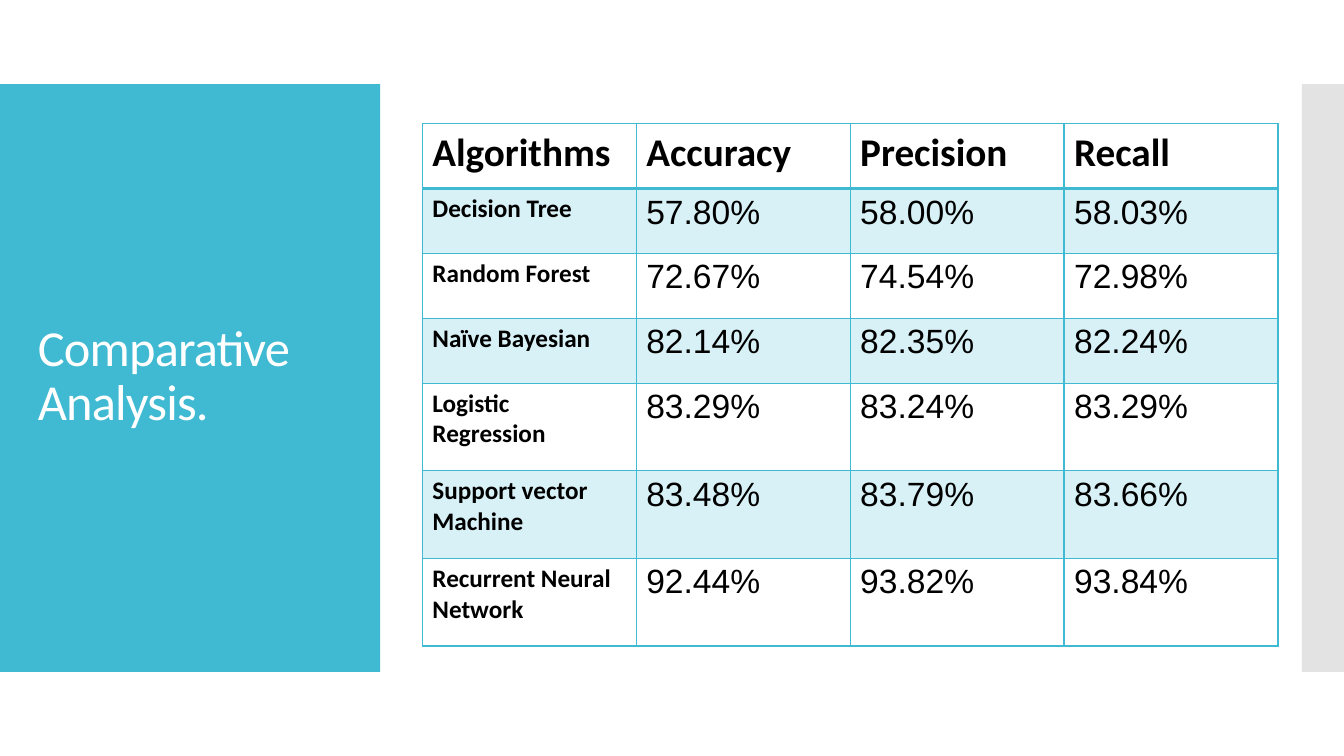
from lxml.etree import SubElement
from pptx import Presentation
from pptx.dml.color import RGBColor
from pptx.enum.shapes import MSO_SHAPE as Shape
from pptx.enum.text import MSO_ANCHOR as Anchor
from pptx.oxml import parse_xml
from pptx.oxml.ns import nsdecls, qn
from pptx.util import Pt

TITLE = "Comparative Analysis."
HEADINGS = ["Algorithms", "Accuracy", "Precision", "Recall"]
SCORES = [
    ("Decision Tree", "57.80%", "58.00%", "58.03%"),
    ("Random Forest", "72.67%", "74.54%", "72.98%"),
    ("Naïve Bayesian", "82.14%", "82.35%", "82.24%"),
    ("Logistic Regression", "83.29%", "83.24%", "83.29%"),
    ("Support vector Machine", "83.48%", "83.79%", "83.66%"),
    ("Recurrent Neural Network", "92.44%", "93.82%", "93.84%"),
]
COLORS = {"teal": "40BAD2", "gray": "C8C8C8", "white": "FFFFFF", "black": "000000"}
SLIDE_W, SLIDE_H = 960, 540
BAND_TOP, BAND_H = 60, 420
TITLE_PANEL_W, EDGE_W = 271.5, 30
TABLE_LEFT, TABLE_TOP, COLUMN_W = 301.7, 88.5, 152.8
ROW_HEIGHTS = [46.3] * 4 + [62.6] * 3


def paint(fill, color, opacity=100):
    """Fill solidly, with opacity in percent."""
    fill.solid()
    fill.fore_color.rgb = RGBColor.from_string(COLORS[color])
    if opacity < 100:
        solid = fill._xPr.find(qn("a:solidFill"))
        SubElement(solid[0], qn("a:alpha"), val=str(opacity * 1000))


def add_panel(slide, left, width, color, opacity=100):
    """Add a borderless panel as tall as the band."""
    panel = slide.shapes.add_shape(
        Shape.RECTANGLE, Pt(left), Pt(BAND_TOP), Pt(width), Pt(BAND_H))
    panel.shadow.inherit = False
    panel.line.fill.background()
    paint(panel.fill, color, opacity)


def add_run(paragraph, text, size, font, color, bold=False):
    """Add one styled run."""
    run = paragraph.add_run()
    run.text = text
    run.font.size, run.font.name, run.font.bold = Pt(size), font, bold
    run.font.color.rgb = RGBColor.from_string(COLORS[color])
    return run


def add_borders(cell, bottom):
    """Draw the four borders, with the bottom width in points."""
    widths = {"lnL": 1, "lnR": 1, "lnT": 1, "lnB": bottom}
    properties = cell._tc.get_or_add_tcPr()
    for place, (side, width) in enumerate(widths.items()):
        properties.insert(place, parse_xml(
            f'<a:{side} {nsdecls("a")} w="{Pt(width)}"><a:solidFill>'
            f'<a:srgbClr val="{COLORS["teal"]}"/></a:solidFill></a:{side}>'))


def add_title(slide):
    """Add the title over the left panel."""
    title = slide.shapes.add_textbox(Pt(20), Pt(88.5), Pt(232), Pt(362)).text_frame
    title.word_wrap = True
    title.vertical_anchor = Anchor.MIDDLE
    title.paragraphs[0].line_spacing = 0.9
    run = add_run(title.paragraphs[0], TITLE, 36, "Calibri", "white")
    run.font._element.set("spc", "-60")


def add_scores(slide):
    """Add the table of scores."""
    rows = [HEADINGS, *SCORES]
    table = slide.shapes.add_table(
        len(rows), len(HEADINGS), Pt(TABLE_LEFT), Pt(TABLE_TOP),
        Pt(COLUMN_W * len(HEADINGS)), Pt(sum(ROW_HEIGHTS))).table
    for column in table.columns:
        column.width = Pt(COLUMN_W)
    for r, (texts, height) in enumerate(zip(rows, ROW_HEIGHTS)):
        table.rows[r].height = Pt(height)
        for c, text in enumerate(texts):
            cell = table.cell(r, c)
            if r % 2:
                paint(cell.fill, "teal", 20)
            else:
                cell.fill.background()
            add_borders(cell, 2 if r == 0 else 1)
            label = r == 0 or c == 0
            size = 28 if r == 0 else 18 if c == 0 else 24
            add_run(cell.text_frame.paragraphs[0], text, size,
                    "Calibri" if label else "Arial", "black", label)


def main():
    """Build and save the slide."""
    deck = Presentation()
    deck.slide_width, deck.slide_height = Pt(SLIDE_W), Pt(SLIDE_H)
    slide = deck.slides.add_slide(deck.slide_layouts[6])
    paint(slide.background.fill, "white")
    add_panel(slide, 0, TITLE_PANEL_W, "teal")
    add_panel(slide, SLIDE_W - EDGE_W, EDGE_W, "gray", 50)
    add_title(slide)
    add_scores(slide)
    deck.save("out.pptx")


if __name__ == "__main__":
    main()
